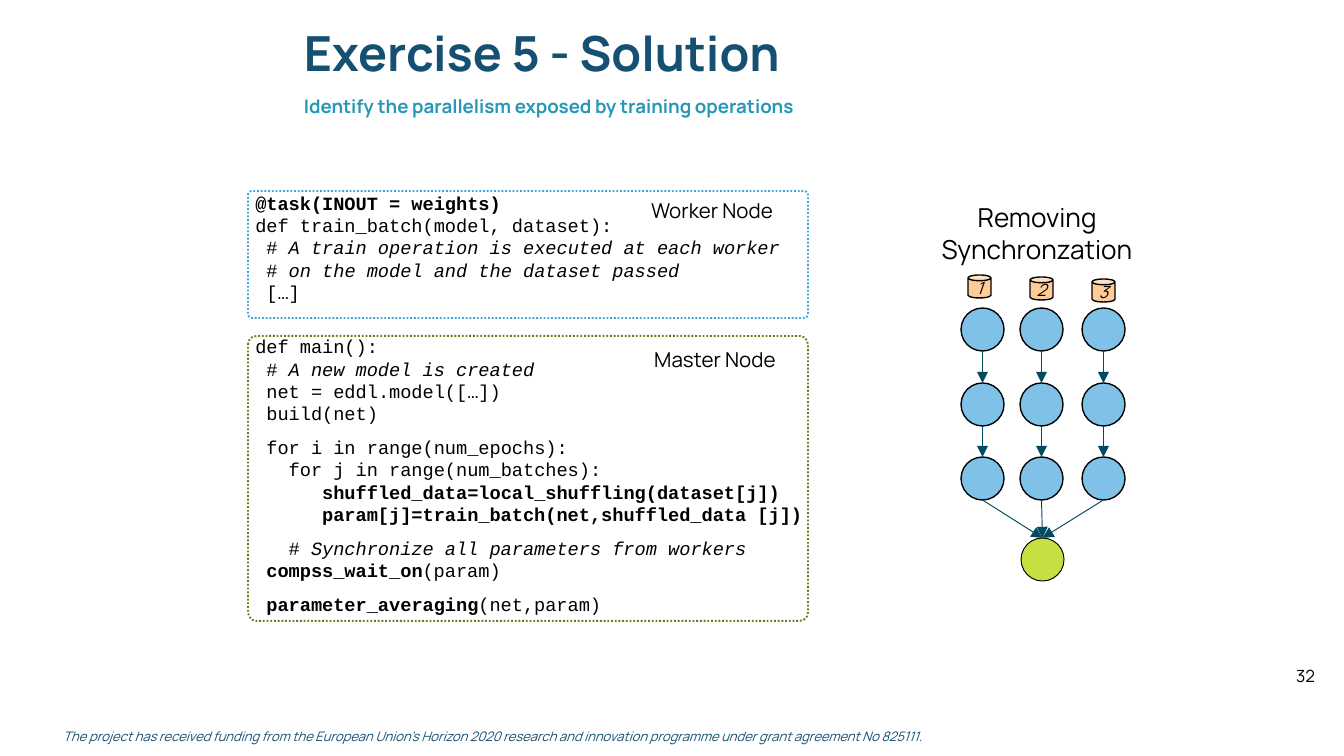
"""Build the slide on the solution of exercise 5: parallel training without synchronization."""
from lxml import etree
from pptx import Presentation
from pptx import util as u
from pptx.dml.color import RGBColor
from pptx.enum import dml, shapes, text
from pptx.oxml import ns

PX = 914400 / 134.4
BLACK = RGBColor(0x00, 0x00, 0x00)
WHITE = RGBColor(0xFF, 0xFF, 0xFF)
NAVY = RGBColor(0x15, 0x50, 0x73)
TEAL = RGBColor(0x27, 0x97, 0xB9)
OLIVE = RGBColor(0x6B, 0x7C, 0x14)
AZURE = RGBColor(0x41, 0xA3, 0xDC)
SKY = RGBColor(0x80, 0xC1, 0xE8)
PEACH = RGBColor(0xFF, 0xCC, 0x98)
LIME = RGBColor(0xC5, 0xE0, 0x41)
PETROL = RGBColor(0x00, 0x4B, 0x62)
KIND = shapes.MSO_SHAPE

deck = Presentation()
deck.slide_width, deck.slide_height = round(1344 * PX), round(756 * PX)
slide = deck.slides.add_slide(deck.slide_layouts[6])


def draw(kind, area, fill=None, line=None, weight=0.75):
    """Add a preset shape, or a text box when kind is None."""
    area = [round(length * PX) for length in area]
    if kind is None:
        return slide.shapes.add_textbox(*area)
    shape = slide.shapes.add_shape(kind, *area)
    shape.shadow.inherit = False
    if fill is None:
        shape.fill.background()
    else:
        shape.fill.solid()
        shape.fill.fore_color.rgb = fill
    if line is None:
        shape.line.fill.background()
    else:
        shape.line.color.rgb = line
        shape.line.width = u.Pt(weight)
    return shape


def write(paragraph, runs, size, color=BLACK, font="Manrope"):
    """Add (wording, style) runs, where style may hold b for bold and i for italic."""
    for wording, style in runs:
        run = paragraph.add_run()
        run.text = wording
        run.font.name, run.font.size = font, u.Pt(size)
        run.font.color.rgb = color
        run.font.bold, run.font.italic = "b" in style, "i" in style


code_lines = [
    (0, [("@task(INOUT = weights)", "b")]),
    (0, [("def train_batch(model, dataset):", "")]),
    (0, [(" # ", ""), ("A train operation is executed at each worker", "i")]),
    (0, [(" # ", ""), ("on the model and the dataset passed", "i")]),
    (0, [(" […]", "")]),
    (17, [("def main():", "")]),
    (0, [(" # ", ""), ("A new model is created", "i")]),
    (0, [(" net = eddl.model([…])", "")]),
    (0, [(" build(net)", "")]),
    (6, [(" for i in range(num_epochs):", "")]),
    (0, [("   for j in range(num_batches):", "")]),
    (0, [("      shuffled_data=local_shuffling(dataset[j])", "b")]),
    (0, [("      ", ""), ("param[j]=train_batch(net,shuffled_data [j])", "b")]),
    (6, [("   # ", ""), ("Synchronize all parameters from workers", "i")]),
    (0, [(" ", ""), ("compss_wait_on", "b"), ("(param)", "")]),
    (6, [(" ", ""), ("parameter_averaging", "b"), ("(net,param)", "")]),
]
code = draw(KIND.RECTANGLE, (242, 185, 589, 454), WHITE).text_frame
code.word_wrap = True
code.vertical_anchor = text.MSO_ANCHOR.TOP
for number, (gap, runs) in enumerate(code_lines):
    paragraph = code.add_paragraph() if number else code.paragraphs[0]
    paragraph.alignment = text.PP_ALIGN.JUSTIFY
    paragraph.line_spacing = u.Pt(12)
    if gap:
        paragraph.space_before = u.Pt(gap)
    write(paragraph, runs, 10, font="Courier New")

for top, height, color in ((336, 285, OLIVE), (191, 127, AZURE)):
    frame = draw(KIND.ROUNDED_RECTANGLE, (248, top, 560, height), line=color, weight=1)
    frame.adjustments[0] = 0.03
    frame.line.dash_style = dml.MSO_LINE.ROUND_DOT

for area, runs, size, color, wrap in (
    ((1283, 659, 51, 34), [("32", "")], 9, BLACK, False),
    ((50, 722, 906, 30), [("The project has received funding from the European Union’s Horizon 2020 "
                           "research and innovation programme under grant agreement No 825111", "i"),
                          (".", "")], 7, NAVY, True),
    ((641, 340, 152, 39), [("Master Node", "")], 11, BLACK, False),
    ((638, 191, 155, 39), [("Worker Node", "")], 11, BLACK, False),
):
    label = draw(None, area).text_frame
    label.word_wrap = wrap
    write(label.paragraphs[0], runs, size, color)

for area, wording, size, color, spacing in (
    ((304, 32, 900, 58), "Exercise 5 - Solution", 25.9, NAVY, 0.7),
    ((304, 91, 888, 32), "Identify the parallelism exposed by training operations", 10, TEAL, 0.9),
):
    heading = draw(None, area).text_frame
    heading.word_wrap = True
    heading.margin_left = 0
    heading.paragraphs[0].line_spacing = spacing
    write(heading.paragraphs[0], [(wording, "b")], size, color)

caption = draw(None, (892, 195, 290, 77)).text_frame
caption.word_wrap = True
caption.paragraphs[0].alignment = text.PP_ALIGN.CENTER
write(caption.paragraphs[0], [("Removing Synchronzation", "")], 14)

NODE = 43
node_lefts = (961, 1020, 1082)
node_tops = (308, 383, 457)
merge_left, merge_top = 1021, 538
arrows = []
for worker, left in enumerate(node_lefts):
    center = left + NODE / 2
    dataset = draw(KIND.CAN, (968 + 62 * worker, 275 + 2 * worker, 23, 23), PEACH, BLACK).text_frame
    dataset.word_wrap = False
    dataset.vertical_anchor = text.MSO_ANCHOR.MIDDLE
    dataset.margin_left = dataset.margin_right = dataset.margin_top = dataset.margin_bottom = 0
    dataset.paragraphs[0].alignment = text.PP_ALIGN.CENTER
    write(dataset.paragraphs[0], [(str(worker + 1), "i")], 9)
    for top in node_tops:
        draw(KIND.OVAL, (left, top, NODE, NODE), SKY, BLACK)
    for upper, lower in zip(node_tops, node_tops[1:]):
        arrows.append((center, upper + NODE, center, lower))
    arrows.append((center, node_tops[-1] + NODE, merge_left + NODE / 2, merge_top))
draw(KIND.OVAL, (merge_left, merge_top, NODE, NODE), LIME, BLACK, 0.5)

for ends in arrows:
    arrow = slide.shapes.add_connector(shapes.MSO_CONNECTOR.STRAIGHT, *(round(end * PX) for end in ends))
    arrow.line.color.rgb = PETROL
    arrow.line.width = u.Pt(0.5)
    etree.SubElement(arrow.line._get_or_add_ln(), ns.qn("a:tailEnd"), type="triangle")
    etree.SubElement(arrow._element.spPr, ns.qn("a:effectLst"))

deck.save("out.pptx")
